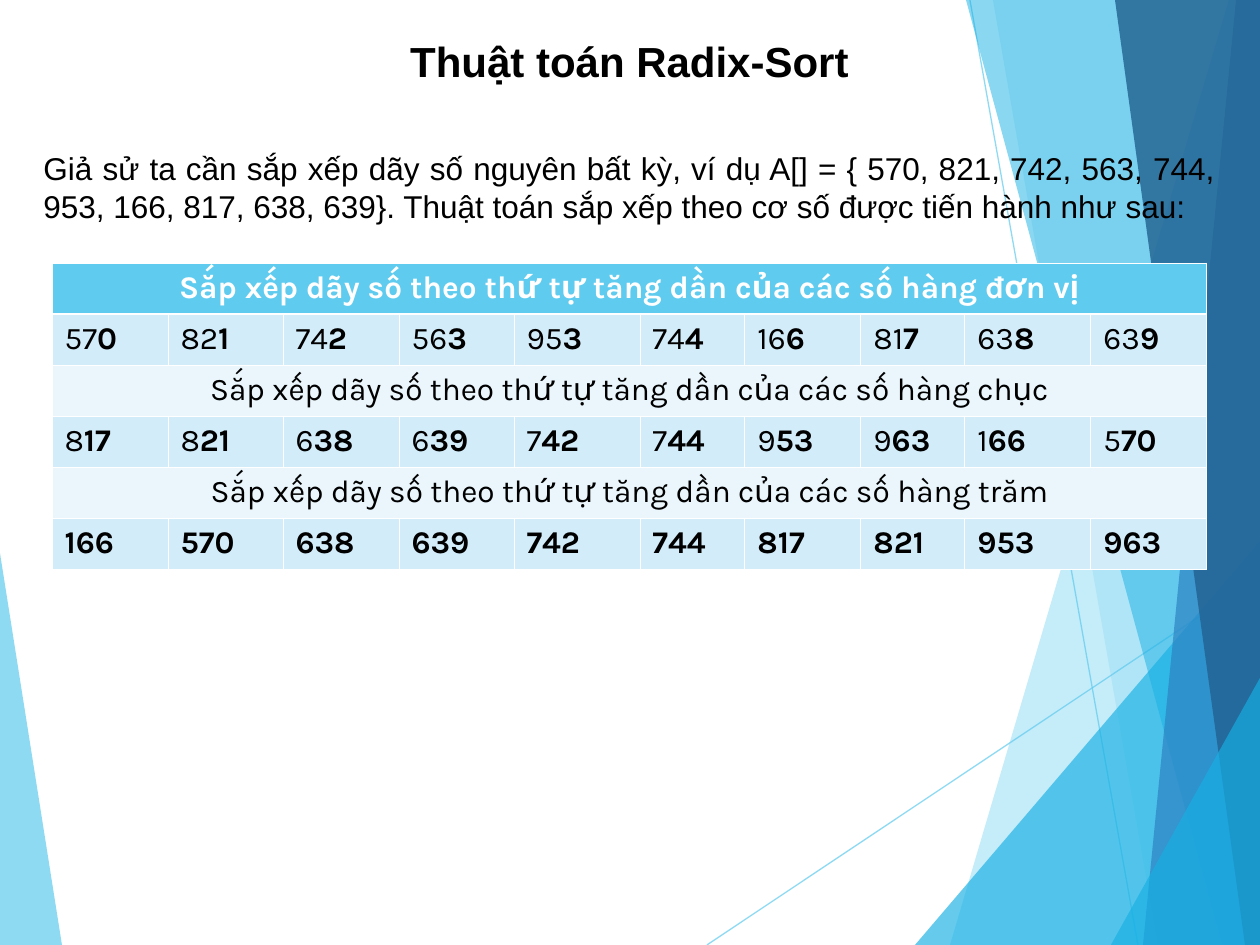
from pptx import Presentation, util as u
from pptx.dml.color import RGBColor
from pptx.enum import shapes, text
from pptx.oxml import parse_xml
from pptx.oxml.ns import nsdecls, qn
from pptx.oxml.xmlchemy import OxmlElement

PX = u.Inches(1) // 126
WIDTH, HEIGHT = 1260, 945
SKY, AZURE, BLUE, NAVY = "5FCBEF", "17B0E4", "2E83C3", "236292"
WHITE, BLACK, DIGIT_ROW, CAPTION_ROW = "FFFFFF", "000000", "D2ECF9", "EAF6FC"

# Points, colour and opacity in percent, from back to front
FACETS = [
    ([(0, 553), (62, 945), (0, 945)], SKY, 70),
    ([(1229, 0), (950, 945), (1260, 945), (1260, 0)], SKY, 36),
    ([(993, 0), (1158, 945), (1260, 945), (1260, 0)], SKY, 20),
    ([(915, 945), (1260, 541), (1260, 945)], AZURE, 66),
    ([(966, 0), (1222, 945), (1260, 945), (1260, 0)], AZURE, 50),
    ([(1236, 0), (1143, 945), (1260, 945), (1260, 0)], BLUE, 70),
    ([(1115, 0), (1245, 945), (1260, 945), (1260, 0)], NAVY, 82),
    ([(1111, 945), (1260, 678), (1260, 945)], AZURE, 66),
]
RAYS = [((707, 945), (1260, 576)), ((970, 0), (1138, 945))]

INTRO = (
    "Giả sử ta cần sắp xếp dãy số nguyên bất kỳ, ví dụ A[] = { 570, 821, 742, 563, "
    "744, 953, 166, 817, 638, 639}. Thuật toán sắp xếp theo cơ số được tiến hành như sau:"
)
CAPTION = "Sắp xếp dãy số theo thứ tự tăng dần của các số hàng "
PASSES = [
    ("đơn vị", "570 821 742 563 953 744 166 817 638 639"),
    ("chục", "817 821 638 639 742 744 953 963 166 570"),
    ("trăm", "166 570 638 639 742 744 817 821 953 963"),
]
COLUMNS = [116, 115, 116, 115, 126, 105, 116, 104, 126, 116]
ROW_HEIGHT = 51


def px(*lengths):
    return [length * PX for length in lengths]


def rgb(colour):
    return RGBColor.from_string(colour)


def set_opacity(fill, percent):
    colour = fill._xPr.find(qn("a:solidFill"))[0]
    alpha = OxmlElement("a:alpha")
    alpha.set("val", str(percent * 1000))
    colour.append(alpha)


def add_facet(slide, points, colour, opacity):
    builder = slide.shapes.build_freeform(*points[0], scale=PX)
    builder.add_line_segments(points[1:], close=True)
    facet = builder.convert_to_shape()
    facet.shadow.inherit = False
    facet.fill.solid()
    facet.fill.fore_color.rgb = rgb(colour)
    set_opacity(facet.fill, opacity)
    facet.line.fill.background()


def add_ray(slide, start, end):
    ray = slide.shapes.add_connector(
        shapes.MSO_CONNECTOR.STRAIGHT, *px(*start, *end))
    ray.line.width = u.Pt(0.75)
    ray.line.fill.solid()
    ray.line.fill.fore_color.rgb = rgb(SKY)
    set_opacity(ray.line.fill, 70)
    ray._element.spPr.append(OxmlElement("a:effectLst"))


def style_paragraph(paragraph, font, size, colour, align, bold=None):
    paragraph.alignment = align
    paragraph.font.name = font
    paragraph.font.size = u.Pt(size)
    paragraph.font.color.rgb = rgb(colour)
    paragraph.font.bold = bold


def fill_frame(frame, content, size, align, bold):
    frame.word_wrap = True
    frame.auto_size = text.MSO_AUTO_SIZE.NONE
    frame.vertical_anchor = text.MSO_ANCHOR.TOP
    frame.text = content
    style_paragraph(frame.paragraphs[0], "Arial", size, BLACK, align, bold)


def style_cell(cell, colour, top=0.45, bottom=0.45):
    """Give the cell white borders, in points, and a plain fill."""
    tcPr = cell._tc.get_or_add_tcPr()
    for side, points in (("L", 0.45), ("R", 0.45), ("T", top), ("B", bottom)):
        tcPr.append(parse_xml(
            f'<a:ln{side} {nsdecls("a")} w="{u.Pt(points)}"><a:solidFill>'
            f'<a:srgbClr val="{WHITE}"/></a:solidFill></a:ln{side}>'))
    cell.fill.solid()
    cell.fill.fore_color.rgb = rgb(colour)


def add_caption(table, row, place):
    header = row == 0
    for cell in table.rows[row].cells:
        style_cell(cell, SKY if header else CAPTION_ROW, bottom=1.47 if header else 0.45)
    caption = table.cell(row, 0)
    caption.merge(table.cell(row, len(COLUMNS) - 1))
    caption.text = CAPTION + place
    style_paragraph(caption.text_frame.paragraphs[0], "Karla", 18,
                    WHITE if header else BLACK, text.PP_ALIGN.CENTER, header)


def add_numbers(table, row, numbers, sorted_digits):
    """Fill a row, with the digits sorted so far in bold."""
    for cell, number in zip(table.rows[row].cells, numbers):
        style_cell(cell, DIGIT_ROW, top=1.47 if row == 1 else 0.45)
        paragraph = cell.text_frame.paragraphs[0]
        style_paragraph(paragraph, "Karla", 18, BLACK, text.PP_ALIGN.LEFT)
        for digits, bold in ((number[:-sorted_digits], False),
                             (number[-sorted_digits:], True)):
            if digits:
                run = paragraph.add_run()
                run.text = digits
                run.font.bold = bold


def add_passes(slide):
    row_count = 2 * len(PASSES)
    table = slide.shapes.add_table(
        row_count, len(COLUMNS),
        *px(52, 263, sum(COLUMNS), row_count * ROW_HEIGHT)).table
    table.first_row = table.horz_banding = False
    for column, width in zip(table.columns, COLUMNS):
        column.width = width * PX
    for row in table.rows:
        row.height = ROW_HEIGHT * PX
    for index, (place, numbers) in enumerate(PASSES):
        add_caption(table, 2 * index, place)
        add_numbers(table, 2 * index + 1, numbers.split(), index + 1)


def main():
    deck = Presentation()
    deck.slide_width, deck.slide_height = px(WIDTH, HEIGHT)
    slide = deck.slides.add_slide(deck.slide_layouts.get_by_name("Title Only"))

    add_facet(slide, *FACETS[0])
    for ray in RAYS:
        add_ray(slide, *ray)
    for facet in FACETS[1:]:
        add_facet(slide, *facet)

    title = slide.shapes.title
    title.left, title.top, title.width, title.height = px(31, 29, 1197, 62)
    fill_frame(title.text_frame, "Thuật toán Radix-Sort", 24, text.PP_ALIGN.CENTER, True)
    slide.shapes._spTree.append(title._element)  # in front of the facets

    intro = slide.shapes.add_textbox(*px(31, 143, 1197, 90))
    fill_frame(intro.text_frame, INTRO, 18, text.PP_ALIGN.JUSTIFY, False)
    add_passes(slide)
    deck.save("out.pptx")


if __name__ == "__main__":
    main()
